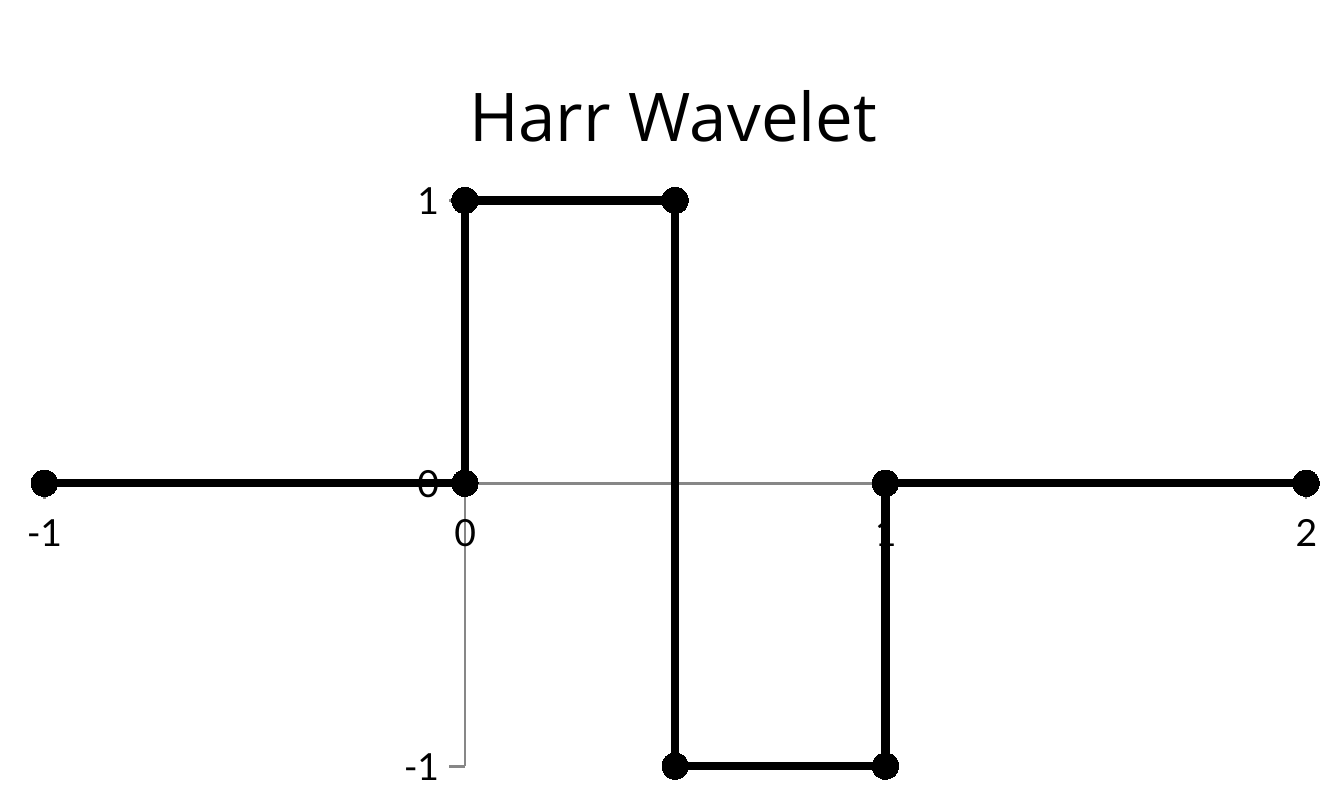
"""Build a slide with a scatter chart of a step wavelet."""
from pptx import Presentation
from pptx.chart.data import XyChartData
from pptx.dml.color import RGBColor
from pptx.enum.chart import XL_CHART_TYPE, XL_MARKER_STYLE, XL_TICK_LABEL_POSITION, XL_TICK_MARK
from pptx.oxml import parse_xml
from pptx.oxml.ns import nsdecls, qn
from pptx.util import Pt

SCATTER = XL_CHART_TYPE.XY_SCATTER_LINES
CIRCLE = XL_MARKER_STYLE.CIRCLE
OUTSIDE, NO_TICK = XL_TICK_MARK.OUTSIDE, XL_TICK_MARK.NONE
NEXT_TO_AXIS = XL_TICK_LABEL_POSITION.NEXT_TO_AXIS

TITLE = "Harr Wavelet"
SERIES = "Series 1"
POINTS = [(-1, 0), (0, 0), (0, 1), (0.5, 1), (0.5, -1), (1, -1), (1, 0), (2, 0)]
X_RANGE, Y_RANGE = (-1, 2), (-1, 1)
WIDTH, HEIGHT = 360, 216
TITLE_PLACE = {"x": 0.34, "y": 0.06}
PLOT_PLACE = {"x": 0.033, "y": 0.249, "w": 0.939, "h": 0.702}
THEME = {
    "ink": RGBColor(0, 0, 0),
    "axis": RGBColor(0x87, 0x87, 0x87),
    "font": "Lato",
    "title_font": "Open Sans",
    "size": 10,
    "title_size": 18,
    "line": 2.25,
    "axis_line": 0.75,
    "marker": 7,
}


def set_font(font, name, size):
    font.name, font.size, font.bold = name, Pt(size), False
    font.color.rgb = THEME["ink"]


def set_line(line, color, width):
    line.color.rgb, line.width = color, Pt(width)


def place(element, index, position, target=""):
    for old in element.findall(qn("c:layout")):
        element.remove(old)
    modes = "".join(f'<c:{key}Mode val="edge"/>' for key in "xy")
    values = "".join(f'<c:{key} val="{value}"/>' for key, value in position.items())
    element.insert(index, parse_xml(
        f'<c:layout {nsdecls("c")}><c:manualLayout>{target}{modes}{values}'
        '</c:manualLayout></c:layout>'))


def style_axis(axis, limits):
    axis.minimum_scale, axis.maximum_scale = limits
    axis.major_unit = 1
    axis.has_major_gridlines = False
    axis.major_tick_mark, axis.minor_tick_mark = OUTSIDE, NO_TICK
    axis.tick_label_position = NEXT_TO_AXIS
    set_line(axis.format.line, THEME["axis"], THEME["axis_line"])


deck = Presentation()
deck.slide_width, deck.slide_height = Pt(WIDTH), Pt(HEIGHT)
page = deck.slides.add_slide(deck.slide_layouts[6])

data = XyChartData()
wavelet = data.add_series(SERIES)
for x, y in POINTS:
    wavelet.add_data_point(x, y)
chart = page.shapes.add_chart(SCATTER, 0, 0, Pt(WIDTH), Pt(HEIGHT), data).chart
chart.has_legend = False
set_font(chart.font, THEME["font"], THEME["size"])

chart.has_title = True
title = chart.chart_title
title.include_in_layout = False
paragraph = title.text_frame.paragraphs[0]
paragraph.text = TITLE
set_font(paragraph.font, THEME["title_font"], THEME["title_size"])
place(title._element, 1, TITLE_PLACE)

style_axis(chart.category_axis, X_RANGE)
style_axis(chart.value_axis, Y_RANGE)
plot_area = chart._chartSpace.find(".//" + qn("c:plotArea"))
place(plot_area, 0, PLOT_PLACE, '<c:layoutTarget val="inner"/>')

plot = chart.plots[0]
plot.vary_by_categories = False
series = plot.series[0]
set_line(series.format.line, THEME["ink"], THEME["line"])
marker = series.marker
marker.style, marker.size = CIRCLE, THEME["marker"]
marker.format.fill.solid()
marker.format.fill.fore_color.rgb = THEME["ink"]
marker.format.line.color.rgb = THEME["ink"]
for smooth in plot_area.iter(qn("c:smooth")):
    smooth.set("val", "0")

deck.save("out.pptx")
